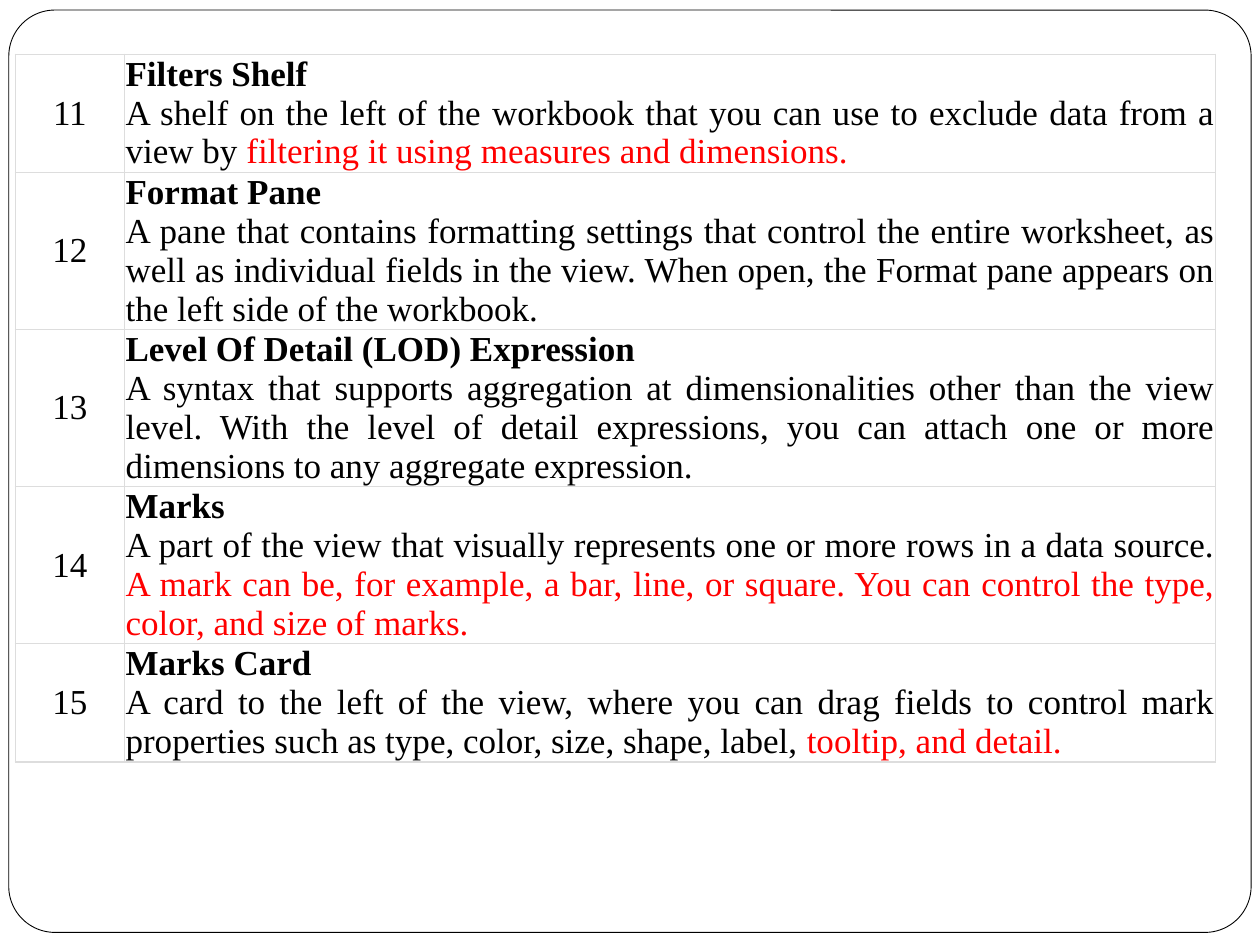
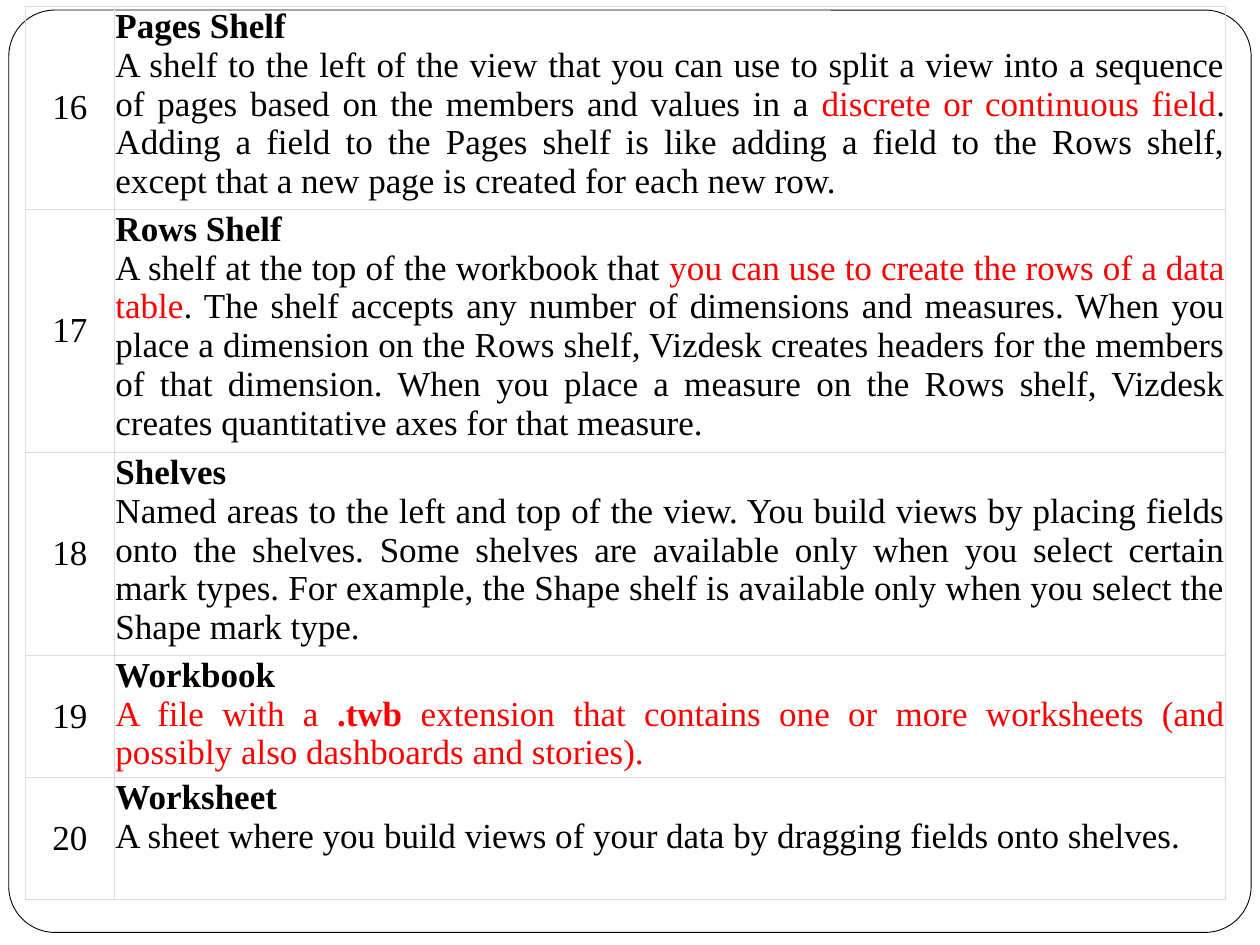
from pptx import Presentation
from pptx.dml.color import RGBColor
from pptx.enum.shapes import MSO_SHAPE
from pptx.enum.text import MSO_ANCHOR, PP_ALIGN
from pptx.oxml import parse_xml
from pptx.oxml.ns import nsdecls
from pptx.util import Pt

PX = 9144  # 100 px to the inch
ROUNDED = MSO_SHAPE.ROUNDED_RECTANGLE
TOP, MIDDLE = MSO_ANCHOR.TOP, MSO_ANCHOR.MIDDLE
CENTER, JUSTIFY = PP_ALIGN.CENTER, PP_ALIGN.JUSTIFY

BLACK = RGBColor(0x00, 0x00, 0x00)
WHITE = RGBColor(0xFF, 0xFF, 0xFF)
RED = RGBColor(0xFF, 0x00, 0x00)
GRID = RGBColor(0xDD, 0xDD, 0xDD)
FONT = "Times New Roman"
CELL_INSET = Pt(0.5)

# Each term: row height, name, definition as (text, colour, bold) runs
VIEW_TERMS = [
    (93, "Filters Shelf", [
        ("A shelf on the left of the workbook that you can use to exclude "
         "data from a view by ", BLACK, False),
        ("filtering it using measures and dimensions.", RED, False)]),
    (124, "Format Pane", [
        ("A pane that contains formatting settings that control the entire "
         "worksheet, as well as individual fields in the view. When open, "
         "the Format pane appears on the left side of the workbook.",
         BLACK, False)]),
    (124, "Level Of Detail (LOD) Expression", [
        ("A syntax that supports aggregation at dimensionalities other than "
         "the view level. With the level of detail expressions, you can "
         "attach one or more dimensions to any aggregate expression.",
         BLACK, False)]),
    (124, "Marks", [
        ("A part of the view that visually represents one or more rows in a "
         "data source. ", BLACK, False),
        ("A mark can be, for example, a bar, line, or square. You can "
         "control the type, color, and size of marks.", RED, False)]),
    (93, "Marks Card", [
        ("A card to the left of the view, where you can drag fields to "
         "control mark properties such as type, color, size, shape, label, ",
         BLACK, False),
        ("tooltip, and detail.", RED, False)]),
]
SHELF_TERMS = [
    (161, "Pages Shelf", [
        ("A shelf to the left of the view that you can use to split a view "
         "into a sequence of pages based on the members and values in a ",
         BLACK, False),
        ("discrete or continuous field", RED, False),
        (". Adding a field to the Pages shelf is like adding a field to the "
         "Rows shelf, except that a new page is created for each new row.",
         BLACK, False)]),
    (193, "Rows Shelf", [
        ("A shelf at the top of the workbook that ", BLACK, False),
        ("you can use to create the rows of a data table", RED, False),
        (". The shelf accepts any number of dimensions and measures. When "
         "you place a dimension on the Rows shelf, Vizdesk creates headers "
         "for the members of that dimension. When you place a measure on the "
         "Rows shelf, Vizdesk creates quantitative axes for that measure.",
         BLACK, False)]),
    (161, "Shelves", [
        ("Named areas to the left and top of the view. You build views by "
         "placing fields onto the shelves. Some shelves are available only "
         "when you select certain mark types. For example, the Shape shelf "
         "is available only when you select the Shape mark type.",
         BLACK, False)]),
    (97, "Workbook", [
        ("A file with a ", RED, False),
        (".twb", RED, True),
        (" extension that contains one or more worksheets (and possibly "
         "also dashboards and stories).", RED, False)]),
    (97, "Worksheet", [
        ("A sheet where you build views of your data by dragging fields onto "
         "shelves.", BLACK, False)]),
]

# Each glossary page: left, top, column widths, first number, terms
PAGES = [
    (12, 43, (87, 866), 11, VIEW_TERMS),
    (20, 5, (71, 882), 16, SHELF_TERMS),
]


def format_cell(cell, anchor):
    """Set insets, anchor, thin grid borders and an empty fill."""
    cell.margin_left = cell.margin_right = CELL_INSET
    cell.margin_top = cell.margin_bottom = CELL_INSET
    cell.vertical_anchor = anchor
    properties = cell._tc.get_or_add_tcPr()
    for side in "LRTB":
        properties.append(parse_xml(
            f'<a:ln{side} {nsdecls("a")} w="{Pt(0.75)}"><a:solidFill>'
            f'<a:srgbClr val="{GRID}"/></a:solidFill></a:ln{side}>'))
    cell.fill.background()


def format_paragraph(paragraph, alignment):
    paragraph.alignment = alignment
    paragraph.font.name = FONT
    paragraph.font.size = Pt(20)
    paragraph.font.color.rgb = BLACK


prs = Presentation()
prs.slide_width = 1000 * PX
prs.slide_height = 750 * PX
blank_layout = prs.slide_layouts[6]
slides = [prs.slides.add_slide(blank_layout) for _ in PAGES]

# Rounded frame, moved to the back of the master so that all slides share it
frame = slides[0].shapes.add_shape(ROUNDED, 7 * PX, 8 * PX, 986 * PX, 732 * PX)
frame.adjustments[0] = 0.05
frame.shadow.inherit = False
frame.fill.solid()
frame.fill.fore_color.rgb = WHITE
frame.line.color.rgb = BLACK
frame.line.width = Pt(0.5)
frame.element.nvSpPr.cNvPr.set("id", "20")
prs.slide_master.shapes.element.insert(2, frame.element)

# Glossary tables
for slide, (left, top, widths, first_number, terms) in zip(slides, PAGES):
    height = sum(term[0] for term in terms)
    glossary = slide.shapes.add_table(
        len(terms), len(widths), left * PX, top * PX,
        sum(widths) * PX, height * PX).table
    glossary.first_row = False
    glossary.horz_banding = False
    for column, width in zip(glossary.columns, widths):
        column.width = width * PX

    for index, (row_height, name, definition) in enumerate(terms):
        glossary.rows[index].height = row_height * PX
        number_cell, term_cell = glossary.rows[index].cells
        format_cell(number_cell, MIDDLE)
        format_cell(term_cell, TOP)

        number = number_cell.text_frame.paragraphs[0]
        number.text = str(first_number + index)
        format_paragraph(number, CENTER)

        heading = term_cell.text_frame.paragraphs[0]
        heading.text = name
        format_paragraph(heading, JUSTIFY)
        heading.font.bold = True

        body = term_cell.text_frame.add_paragraph()
        format_paragraph(body, JUSTIFY)
        for text, color, bold in definition:
            run = body.add_run()
            run.text = text
            run.font.color.rgb = color
            run.font.bold = bold

prs.save("out.pptx")
